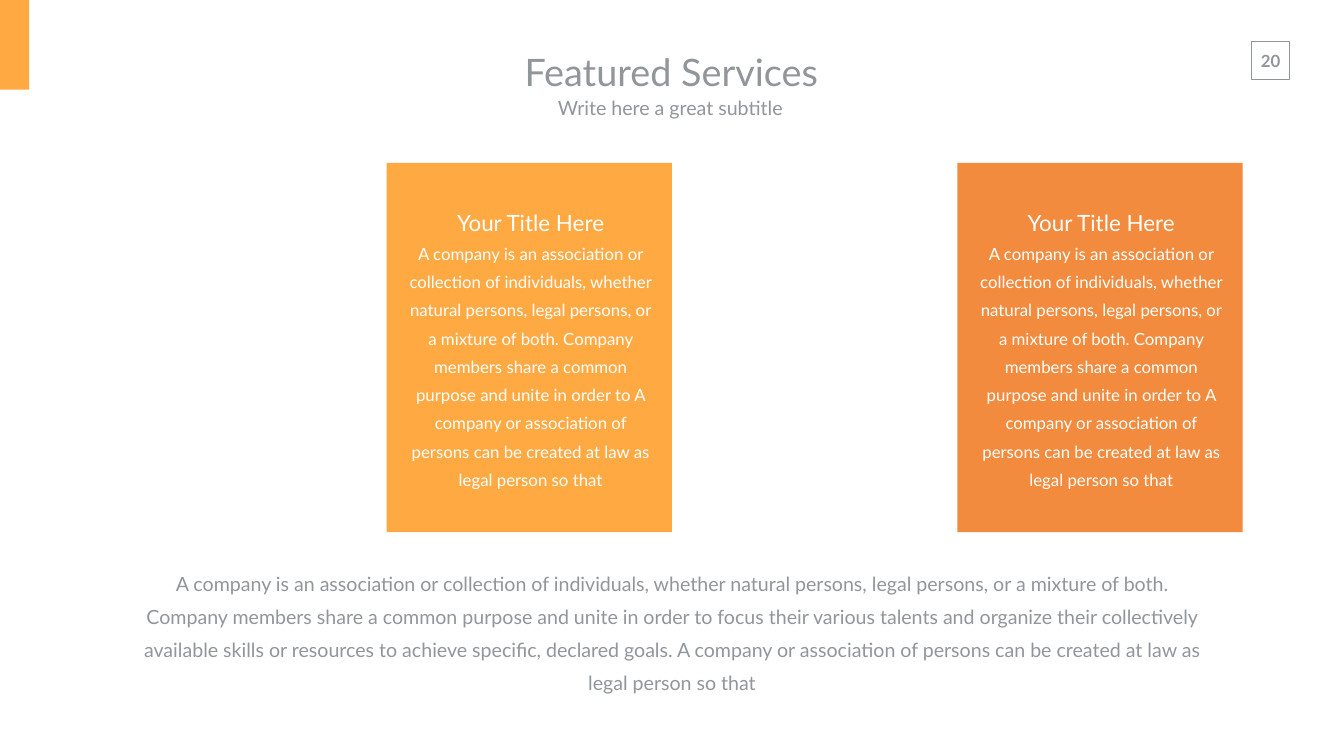
from typing import NamedTuple

from pptx import Presentation
from pptx.dml.color import RGBColor
from pptx.enum.shapes import MSO_SHAPE as Kind
from pptx.enum.text import MSO_ANCHOR as Anchor, MSO_AUTO_SIZE as Fit, PP_ALIGN as Align
from pptx.util import Inches, Pt

HEX = {"amber": "FFA943", "orange": "F28B3E", "gray": "91969B", "white": "FFFFFF"}
FONT = "Lato"
LEAD = "A company is an association or collection of individuals, whether natural persons, legal persons, or a mixture of both. Company members share a common purpose and unite in order to "
TAIL = "A company or association of persons can be created at law as legal person so that"
SKILLS = "focus their various talents and organize their collectively available skills or resources to achieve specific, declared goals. "


class Box(NamedTuple):
    left: float
    top: float
    width: float
    height: float


class Line(NamedTuple):
    text: str
    size: int
    color: str = "gray"
    bold: bool = False


class Card(NamedTuple):
    left: float
    color: str


def tint(name: str) -> RGBColor:
    return RGBColor.from_string(HEX[name])


def lengths(box: Box) -> list:
    return [Inches(n) for n in box]


def draw_rect(slide, box: Box, fill: str = "", line: str = "") -> None:
    rect = slide.shapes.add_shape(Kind.RECTANGLE, *lengths(box))
    rect.shadow.inherit = False
    if fill:
        rect.fill.solid()
        rect.fill.fore_color.rgb = tint(fill)
    else:
        rect.fill.background()
    if line:
        rect.line.color.rgb = tint(line)
        rect.line.width = Pt(1)
    else:
        rect.line.fill.background()


def set_text(shape, lines: list[Line], space: float = 1.0, pad: tuple = (0.1, 0.05),
             anchor=Anchor.TOP, wrap: bool = True) -> None:
    frame = shape.text_frame
    side, edge = (Inches(n) for n in pad)
    form = {"margin_left": side, "margin_right": side, "margin_top": edge,
            "margin_bottom": edge, "vertical_anchor": anchor,
            "word_wrap": wrap, "auto_size": Fit.SHAPE_TO_FIT_TEXT}
    for key, value in form.items():
        setattr(frame, key, value)
    for i, line in enumerate(lines):
        para = frame.add_paragraph() if i else frame.paragraphs[0]
        para.alignment = Align.CENTER
        para.line_spacing = space
        run = para.add_run()
        run.text = line.text
        look = {"name": FONT, "size": Pt(line.size), "bold": line.bold}
        for key, value in look.items():
            setattr(run.font, key, value)
        run.font.color.rgb = tint(line.color)


def add_text(slide, box: Box, lines: list[Line], **form) -> None:
    set_text(slide.shapes.add_textbox(*lengths(box)), lines, **form)


def main() -> None:
    deck = Presentation()
    deck.slide_width, deck.slide_height = Inches(26.66), Inches(15)
    slide = deck.slides.add_slide(deck.slide_layouts[5])

    # Title and subtitle
    head = {"pad": (0.27, 0.13), "anchor": Anchor.MIDDLE}
    title = slide.shapes.title
    title.left, title.top, title.width, title.height = lengths(Box(8.15, 0.83, 10.33, 1.18))
    set_text(title, [Line("Featured Services", 54)], **head)
    add_text(slide, Box(8.18, 1.76, 10.33, 0.74),
             [Line("Write here a great subtitle ", 28)], **head)

    # Corner bar and page number
    draw_rect(slide, Box(0, 0, 0.58, 1.78), fill="amber")
    draw_rect(slide, Box(24.83, 0.82, 0.75, 0.75), line="gray")
    add_text(slide, Box(24.8, 0.9, 0.81, 0.61), [Line("20", 24, bold=True)],
             pad=(0.2, 0.1), wrap=False)

    # Service cards
    for card in (Card(7.67, "amber"), Card(18.99, "orange")):
        draw_rect(slide, Box(card.left, 3.23, 5.66, 7.33), fill=card.color)
        add_text(slide, Box(card.left + 0.3, 3.88, 5.11, 5.92),
                 [Line("Your Title Here", 32, "white"), Line(LEAD + TAIL, 24, "white")],
                 space=1.4)

    # Closing text
    add_text(slide, Box(2.65, 11.12, 21.36, 2.05),
             [Line(LEAD + SKILLS + TAIL, 28)], space=1.4)

    deck.save("out.pptx")


if __name__ == "__main__":
    main()
